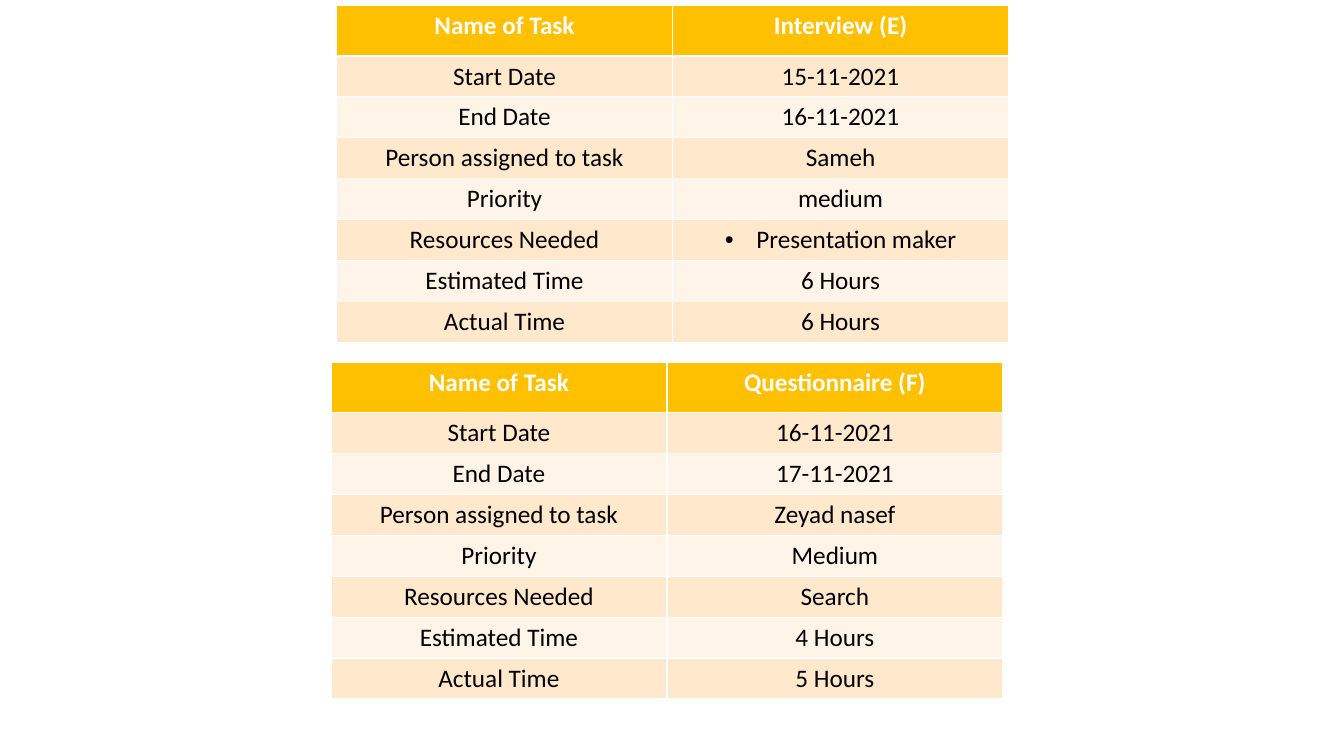
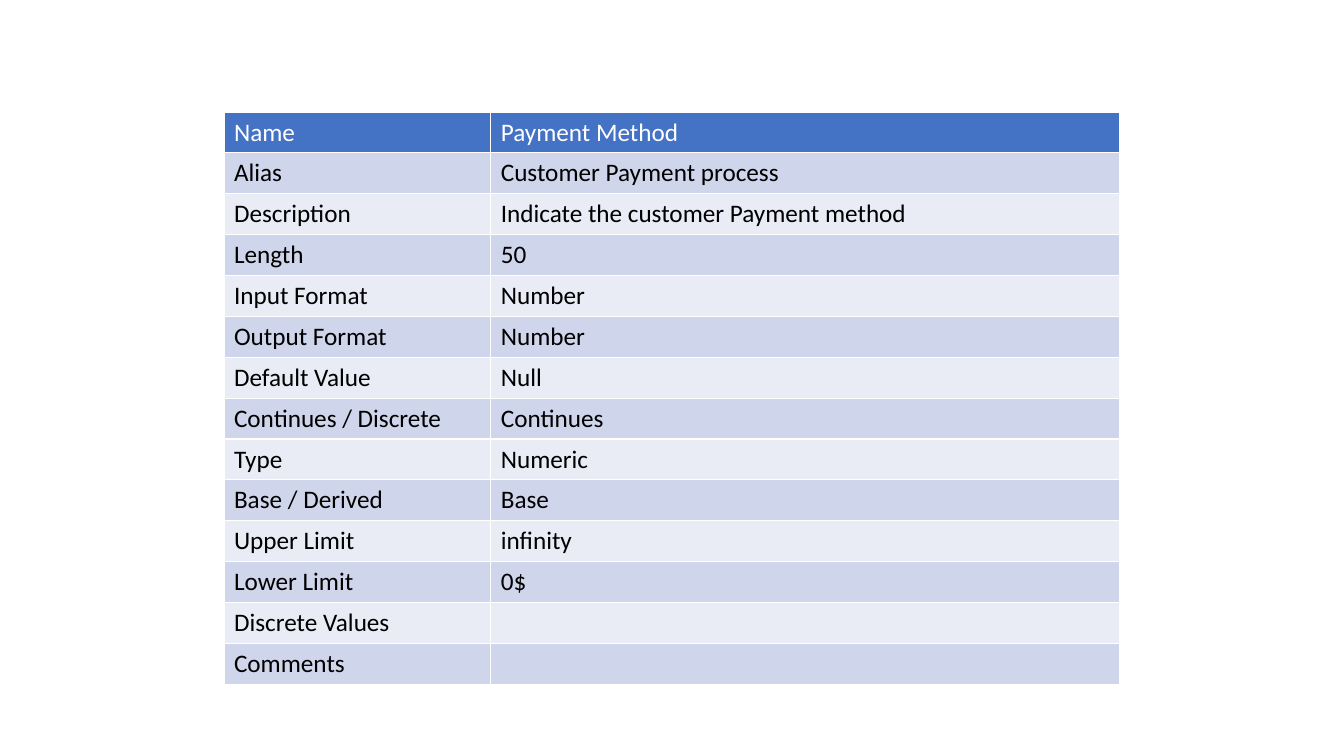
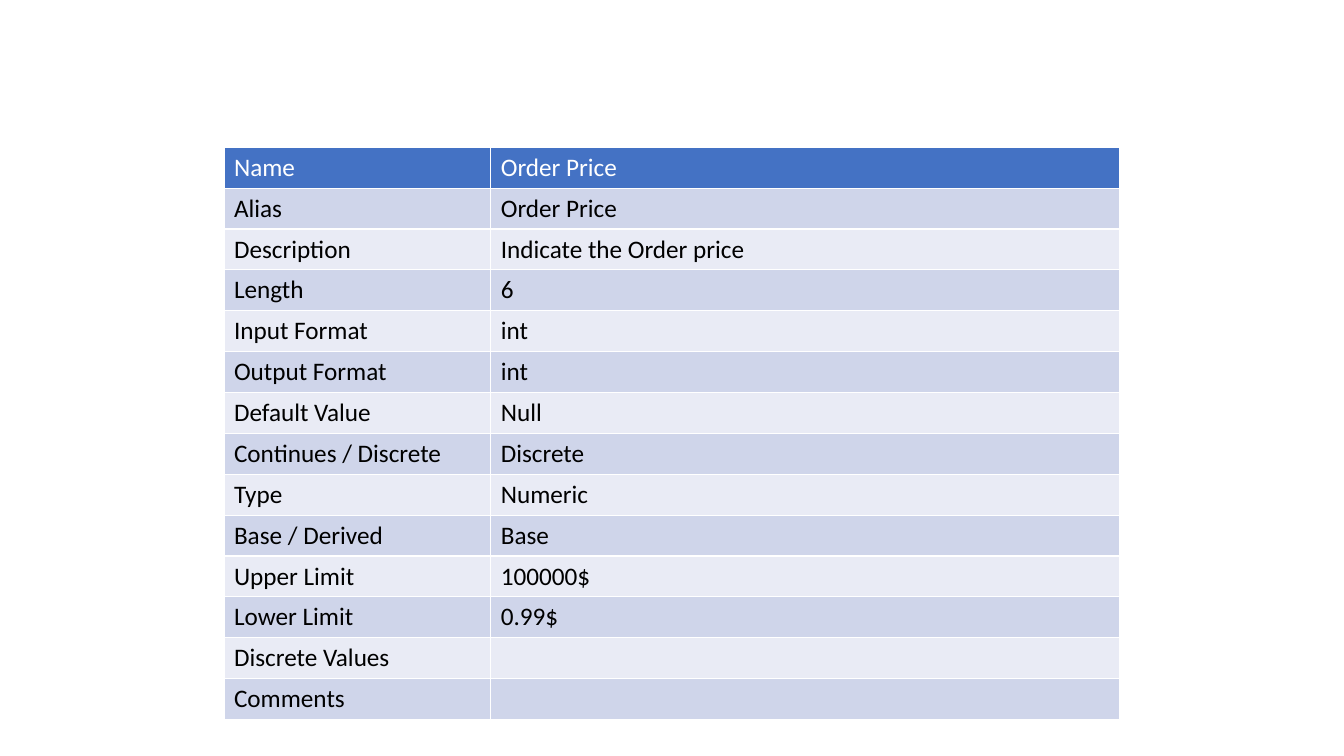
from lxml import etree
from pptx import Presentation
from pptx.dml.color import RGBColor
from pptx.enum.text import PP_ALIGN
from pptx.oxml.ns import qn
from pptx.util import Pt

LEFT, MID = PP_ALIGN.LEFT, PP_ALIGN.CENTER

# Shared look
HUES = {"white": "FFFFFF", "black": "000000",
        "gold": "FFC000", "peach": "FFE8CC", "cream": "FFF4E7",
        "blue": "4472C4", "sky": "CFD5EA", "mist": "E9EBF5"}
TASK = {"fills": ("gold", "peach", "cream"), "cols": (240, 240),
        "head": 36, "bold": True, "align": MID}
DATA = {"fills": ("blue", "sky", "mist"), "cols": (190.6, 449.4),
        "head": 29.2, "bold": False, "align": LEFT}
ROW = 29.2

# Row labels
STEPS = ["Name of Task", "Start Date", "End Date", "Person assigned to task",
         "Priority", "Resources Needed", "Estimated Time", "Actual Time"]
TERMS = ["Name", "Alias", "Description", "Length", "Input Format",
         "Output Format", "Default Value", "Continues / Discrete", "Type",
         "Base / Derived", "Upper Limit", "Lower Limit", "Discrete Values",
         "Comments"]

# Each slide holds tables of (look, left, top, labels, values)
DECK = [
    [(TASK, 240.4, 4, STEPS,
      ["Interview (E)", "15-11-2021", "16-11-2021", "Sameh", "medium",
       "• Presentation maker", "6 Hours", "6 Hours"]),
     (TASK, 236.4, 258.8, STEPS,
      ["Questionnaire (F)", "16-11-2021", "17-11-2021", "Zeyad nasef",
       "Medium", "Search", "4 Hours", "5 Hours"])],
    [(DATA, 160, 80, TERMS,
      ["Payment Method", "Customer Payment process",
       "Indicate the customer Payment method", "50", "Number", "Number",
       "Null", "Continues", "Numeric", "Base", "infinity", "0$", "", ""])],
    [(DATA, 160, 105.2, TERMS,
      ["Order Price", "Order Price", "Indicate the Order price", "6", "int",
       "int", "Null", "Discrete", "Numeric", "Base", "100000$", "0.99$",
       "", ""])],
]


def tint(name):
    return RGBColor.from_string(HUES[name])


def bullet(para):
    props = para._p.get_or_add_pPr()
    props.set("marL", str(Pt(22.5)))
    props.set("indent", str(-Pt(22.5)))
    etree.SubElement(props, qn("a:buFont")).set("typeface", "Arial")
    etree.SubElement(props, qn("a:buChar")).set("char", "•")


deck = Presentation()
deck.slide_width, deck.slide_height = Pt(960), Pt(540)

for items in DECK:
    slide = deck.slides.add_slide(deck.slide_layouts[6])
    for look, left, top, labels, values in items:
        # Table grid
        count = len(labels)
        high = look["head"] + ROW * (count - 1)
        grid = slide.shapes.add_table(
            count, 2, Pt(left), Pt(top), Pt(sum(look["cols"])), Pt(high)).table
        for col, wide in zip(grid.columns, look["cols"]):
            col.width = Pt(wide)

        # Header row, then two fills in turn
        head, odd, even = look["fills"]
        for num, pair in enumerate(zip(labels, values)):
            first = num == 0
            grid.rows[num].height = Pt(look["head"] if first else ROW)
            fill = head if first else odd if num % 2 else even
            form = {"name": "Calibri", "size": Pt(18),
                    "bold": first and look["bold"]}
            for cell, text in zip(grid.rows[num].cells, pair):
                cell.fill.solid()
                cell.fill.fore_color.rgb = tint(fill)
                para = cell.text_frame.paragraphs[0]
                para.alignment = look["align"]
                if text.startswith("• "):
                    bullet(para)
                    text = text[2:]
                if not text:
                    continue
                font = para.add_run().font
                para.runs[0].text = text
                for key, value in form.items():
                    setattr(font, key, value)
                font.color.rgb = tint("white" if first else "black")

deck.save("out.pptx")
